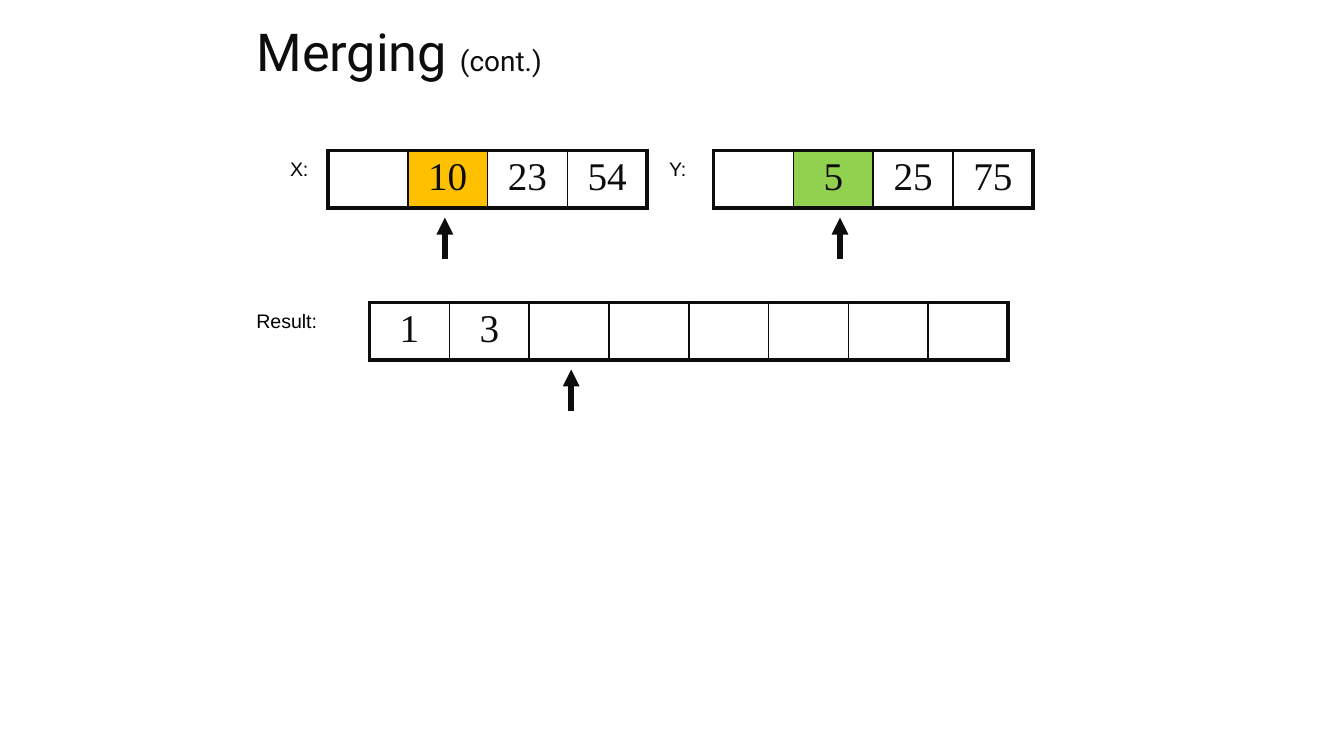
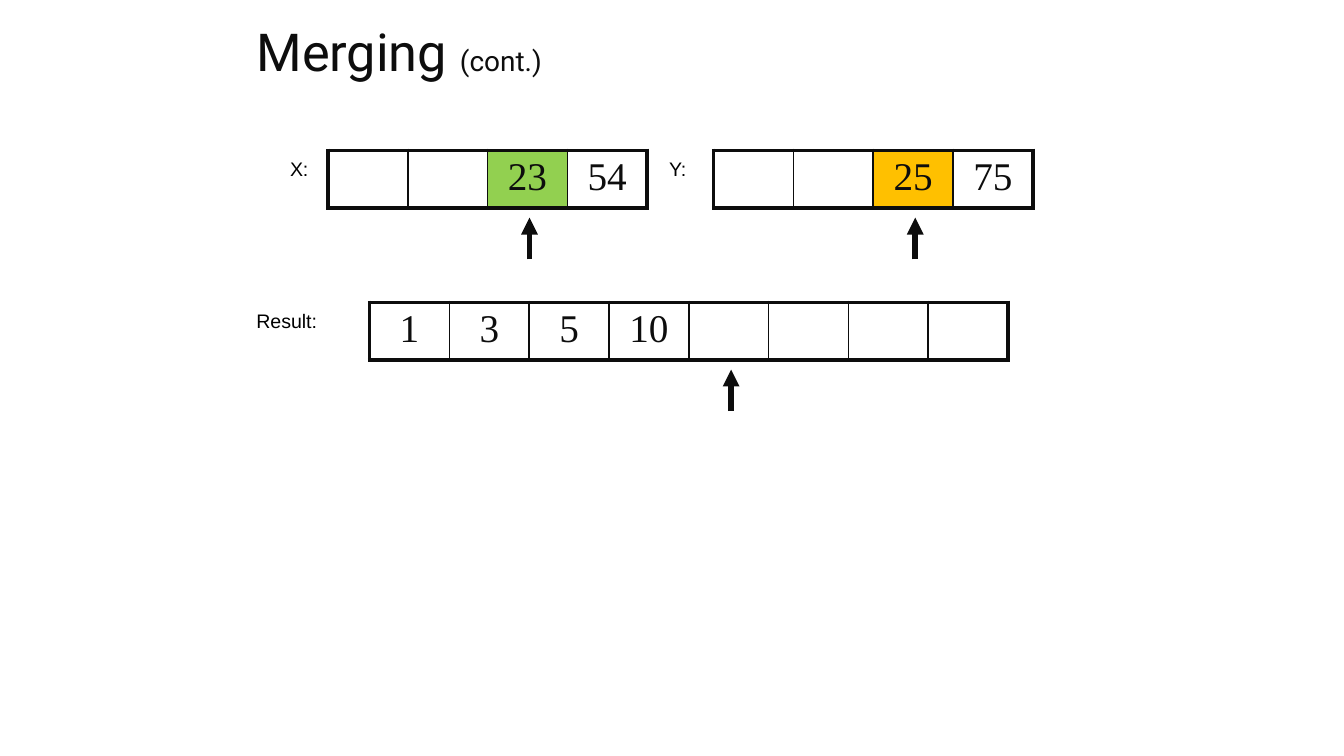
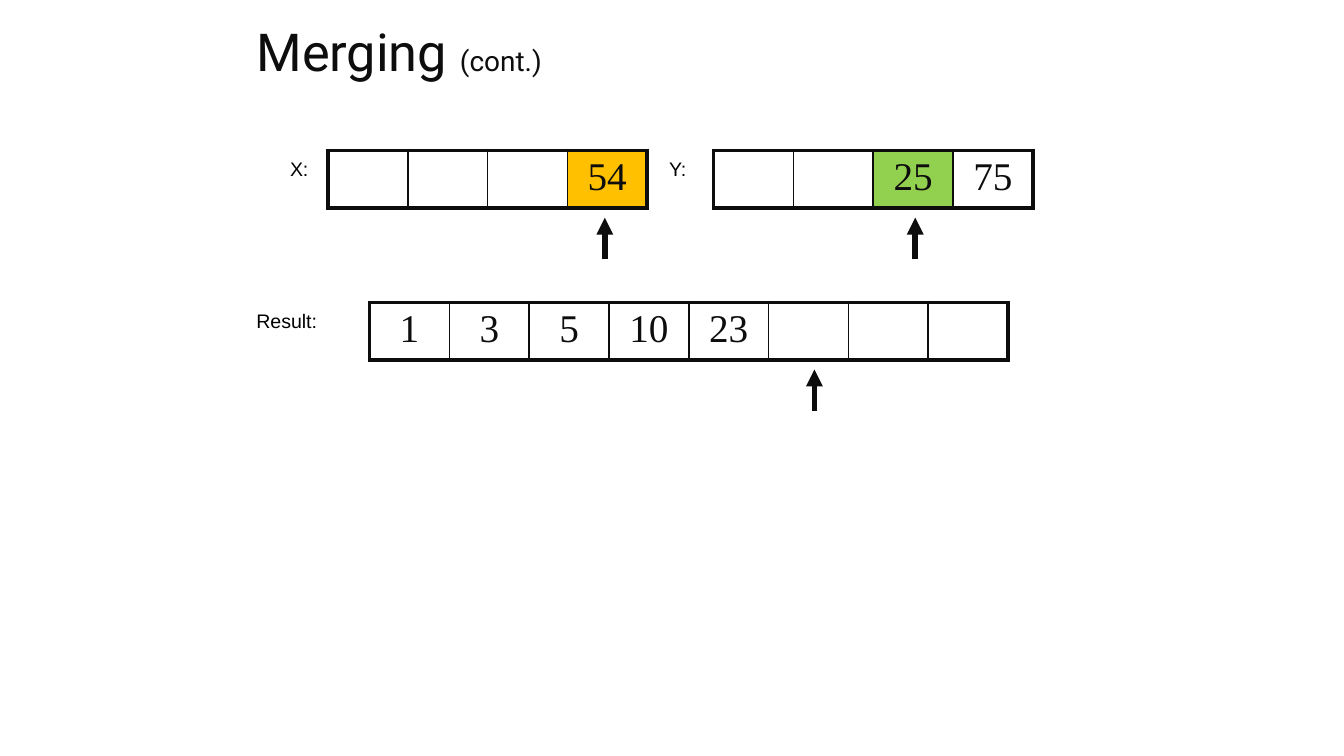
from pptx import Presentation
from pptx.dml.color import RGBColor
from pptx.enum.shapes import MSO_CONNECTOR
from pptx.enum.text import MSO_ANCHOR, MSO_AUTO_SIZE, PP_ALIGN
from pptx.oxml import parse_xml
from pptx.oxml.ns import nsdecls, qn
from pptx.util import Inches, Pt

INK = "0D0D0D"
BLACK = "000000"
SMALLER = "92D050"
LARGER = "FFC000"
CELL_WIDTH = 4.75 / 8
ROW_HEIGHT = 0.42
ARROW_LENGTH = 0.31

# Fixed places: label, label left, label width, array left, top, arrow tip
ARRAYS = [
    ("X:", 2.06, 0.44, 2.44, 1.12, 1.62),
    ("Y:", 4.88, 0.44, 5.31, 1.12, 1.62),
    ("Result:", 1.81, 0.88, 2.75, 2.25, 2.75),
]

# One merge step per slide; each array has its values, the index and
# colour of its compared cell, and the position of its arrow
STEPS = [
    [
        (["", "10", "23", "54"], 1, LARGER, 3.31),
        (["", "5", "25", "75"], 1, SMALLER, 6.25),
        (["1", "3", "", "", "", "", "", ""], None, None, 4.25),
    ],
    [
        (["", "", "23", "54"], 2, SMALLER, 3.94),
        (["", "", "25", "75"], 2, LARGER, 6.81),
        (["1", "3", "5", "10", "", "", "", ""], None, None, 5.44),
    ],
    [
        (["", "", "", "54"], 3, LARGER, 4.5),
        (["", "", "25", "75"], 2, SMALLER, 6.81),
        (["1", "3", "5", "10", "23", "", "", ""], None, None, 6.06),
    ],
]


def color(value):
    return RGBColor.from_string(value)


def add_span(para, text, font, size, ink):
    span = para.add_run()
    span.text = text
    span.font.name = font
    span.font.size = Pt(size)
    span.font.color.rgb = color(ink)


# Widescreen deck, 16 to 9
deck = Presentation()
deck.slide_width = Inches(10)
deck.slide_height = Inches(10 * 9 / 16)

for step in STEPS:
    page = deck.slides.add_slide(deck.slide_layouts[6])
    page.background.fill.solid()
    page.background.fill.fore_color.rgb = color("FFFFFF")

    # Title
    box = page.shapes.add_textbox(Inches(1.81), Inches(0.11), Inches(6.38), Inches(0.62))
    frame = box.text_frame
    frame.word_wrap = True
    frame.vertical_anchor = MSO_ANCHOR.MIDDLE
    frame.margin_left = frame.margin_right = Inches(0.1)
    frame.margin_top = frame.margin_bottom = Inches(0.1)
    para = frame.paragraphs[0]
    para.line_spacing = 0.8
    add_span(para, "Merging ", "Roboto", 28, INK)
    add_span(para, "(cont.)", "Roboto", 15, INK)

    for place, state in zip(ARRAYS, step):
        label, label_left, label_width, left, top, tip = place
        values, compared, highlight, arrow_x = state

        # Array cells
        last = len(values) - 1
        table = page.shapes.add_table(
            1, len(values), Inches(left), Inches(top),
            Inches(CELL_WIDTH * len(values)), Inches(ROW_HEIGHT),
        ).table
        table.first_row = False
        table.horz_banding = False
        for index, value in enumerate(values):
            table.columns[index].width = Inches(CELL_WIDTH)
            cell = table.cell(0, index)
            cell.margin_left = cell.margin_right = Inches(0.07)
            cell.margin_top = cell.margin_bottom = Inches(0.04)

            # Thick outline, thin lines between the cells
            borders = {
                "lnL": 2.25 if index == 0 else 1,
                "lnR": 2.25 if index == last else 1,
                "lnT": 2.25,
                "lnB": 2.25,
            }
            for side, width in borders.items():
                cell._tc.get_or_add_tcPr().append(parse_xml(
                    f'<a:{side} {nsdecls("a")} w="{Pt(width)}"><a:solidFill>'
                    f'<a:srgbClr val="{INK}"/></a:solidFill></a:{side}>'
                ))
            if index == compared:
                cell.fill.solid()
                cell.fill.fore_color.rgb = color(highlight)
            else:
                cell.fill.background()
            if value:
                para = cell.text_frame.paragraphs[0]
                para.alignment = PP_ALIGN.CENTER
                add_span(para, value, "Times New Roman", 21, INK)

        # Arrow to the current position
        arrow = page.shapes.add_connector(
            MSO_CONNECTOR.STRAIGHT, Inches(arrow_x), Inches(tip + ARROW_LENGTH),
            Inches(arrow_x), Inches(tip),
        )
        arrow.line.color.rgb = color(INK)
        arrow.line.width = Pt(3)
        properties = arrow.element.spPr
        properties.find(qn("a:ln")).append(
            parse_xml(f'<a:tailEnd {nsdecls("a")} type="triangle"/>')
        )
        properties.append(parse_xml(f'<a:effectLst {nsdecls("a")}/>'))

        # Array label
        box = page.shapes.add_textbox(
            Inches(label_left), Inches(top), Inches(label_width), Inches(0.28)
        )
        box.text_frame.word_wrap = True
        box.text_frame.auto_size = MSO_AUTO_SIZE.SHAPE_TO_FIT_TEXT
        add_span(box.text_frame.paragraphs[0], label, "Arial", 10.5, BLACK)

deck.save("out.pptx")
